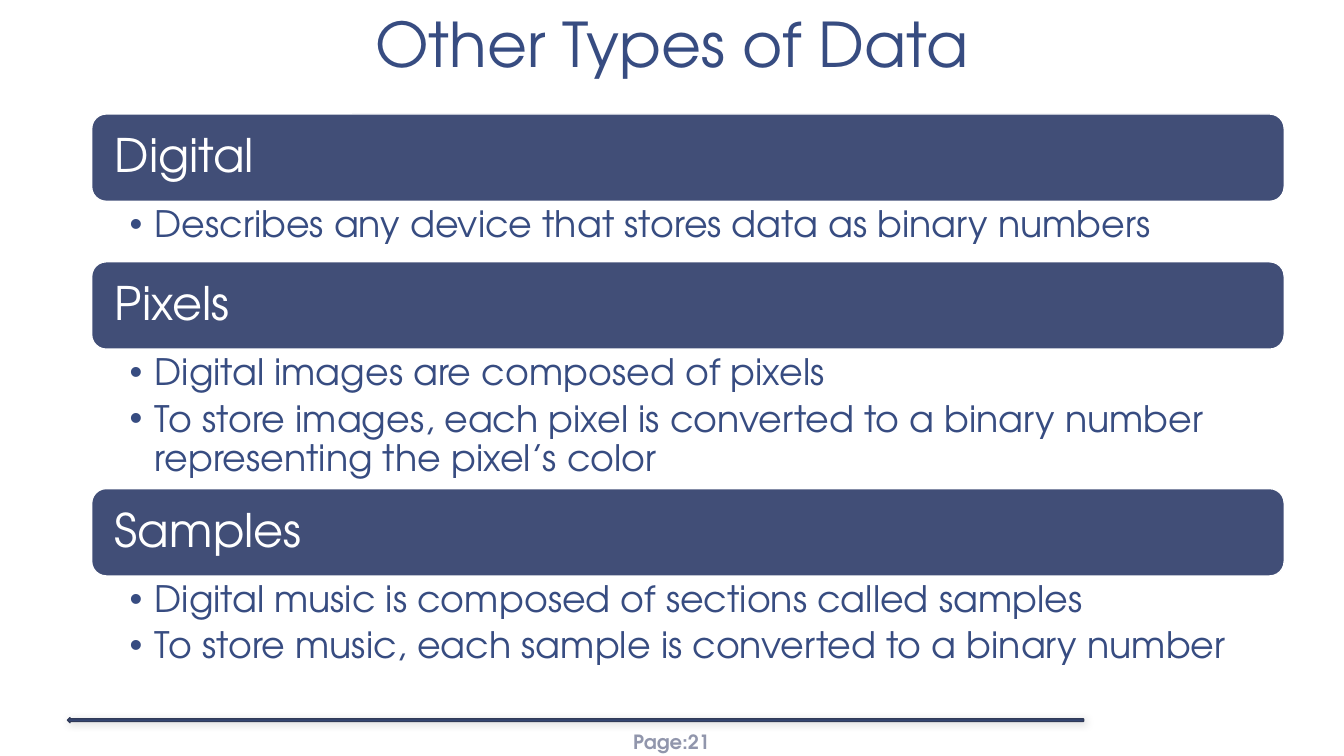
from dataclasses import dataclass

from lxml import etree
from pptx import Presentation
from pptx.dml.color import RGBColor as Rgb
from pptx.enum.shapes import MSO_SHAPE as Kind
from pptx.enum.text import MSO_ANCHOR as Anchor, MSO_AUTO_SIZE as Fit, PP_ALIGN as Align
from pptx.oxml import parse_xml
from pptx.oxml.ns import qn
from pptx.util import Pt

TITLE = "Other Types of Data"
PAGE = "Page:21"
# heading, height of its list in points, list items
TOPICS = [
    ("Digital", 43.2, ["Describes any device that stores data as binary numbers"]),
    ("Pixels", 99.6, [
        "Digital images are composed of pixels",
        "To store images, each pixel is converted to a binary number "
        "representing the pixel’s color",
    ]),
    ("Samples", 71.3, [
        "Digital music is composed of sections called samples",
        "To store music, each sample is converted to a binary number",
    ]),
]


@dataclass(frozen=True)
class Theme:
    face: str = "TeX Gyre Adventor"
    ink: str = "374C81"
    bar: str = "414E77"
    edge: str = "303A58"
    pale: str = "9196AC"
    white: str = "FFFFFF"
    title: int = 44
    head: int = 33
    item: int = 26
    page: int = 14


LOOK = Theme()
LEFT, TOP, WIDTH, BAR = 65.5, 81.4, 851.8, 62.4
SHADOW = (
    '<a:effectLst xmlns:a="http://schemas.openxmlformats.org/drawingml/2006/main">'
    '<a:outerShdw blurRad="76200" dist="12700" dir="2700000" rotWithShape="0">'
    '<a:srgbClr val="000000"><a:alpha val="20000"/></a:srgbClr>'
    '</a:outerShdw></a:effectLst>'
)


def place(shape, left, top, width, height):
    shape.left, shape.top = Pt(left), Pt(top)
    shape.width, shape.height = Pt(width), Pt(height)


def set_frame(shape, anchor, left, top, right, bottom):
    """Set anchor and insets, with wrapping on and no shrinking."""
    frame = shape.text_frame
    frame.word_wrap, frame.auto_size = True, Fit.NONE
    frame.vertical_anchor = anchor
    frame.margin_left, frame.margin_right = Pt(left), Pt(right)
    frame.margin_top, frame.margin_bottom = Pt(top), Pt(bottom)
    return frame


def style(para, size, color, align=Align.LEFT, line=1.0, after=0, bold=False):
    para.alignment, para.line_spacing = align, line
    para.space_before, para.space_after = Pt(0), Pt(after)
    for run in para.runs:
        font = run.font
        font.name, font.size, font.bold = LOOK.face, Pt(size), bold
        font.color.rgb = Rgb.from_string(color)


def paint(shape, fill, line):
    shape.shadow.inherit = False
    shape.fill.solid()
    shape.fill.fore_color.rgb = Rgb.from_string(fill)
    shape.line.color.rgb = Rgb.from_string(line)
    shape.line.width = Pt(1)


def add_bullet(para):
    props = para._p.get_or_add_pPr()
    props.set("marL", str(Pt(18)))
    props.set("indent", str(Pt(-18)))
    etree.SubElement(props, qn("a:buChar")).set("char", "•")


def add_head(slide, text, top):
    box = slide.shapes.add_shape(
        Kind.ROUNDED_RECTANGLE, Pt(LEFT), Pt(top), Pt(WIDTH), Pt(BAR))
    paint(box, LOOK.bar, LOOK.white)
    frame = set_frame(box, Anchor.MIDDLE, 13.4, 10, 13.4, 10)
    frame.text = text
    style(frame.paragraphs[0], LOOK.head, LOOK.white, line=0.9)


def fill_list(body, items, top, height):
    place(body, LEFT, top, WIDTH, height)
    frame = set_frame(body, Anchor.TOP, 27, 3.6, 18.7, 3.6)
    frame.text = "\n".join(items)
    for para in frame.paragraphs:
        add_bullet(para)
        style(para, LOOK.item, LOOK.ink, line=0.9, after=5.2)


def add_footer(slide):
    arrow = slide.shapes.add_shape(
        Kind.LEFT_ARROW, Pt(48.2), Pt(512.6), Pt(725.8), Pt(3.6))
    paint(arrow, LOOK.ink, LOOK.edge)
    props = arrow._element.spPr
    props.replace(props.find(qn("a:effectLst")), parse_xml(SHADOW))
    page = slide.shapes.add_textbox(Pt(416), Pt(520), Pt(127.4), Pt(20))
    frame = set_frame(page, Anchor.MIDDLE, 2.9, 1.4, 2.9, 1.4)
    frame.text = PAGE
    style(frame.paragraphs[0], LOOK.page, LOOK.pale, Align.CENTER, bold=True)


def main():
    deck = Presentation()
    deck.slide_width, deck.slide_height = Pt(960), Pt(540)
    slide = deck.slides.add_slide(deck.slide_layouts.get_by_name("Comparison"))
    title, *bodies = slide.placeholders
    add_footer(slide)

    place(title, 80, 0, 800, 62)
    frame = set_frame(title, Anchor.BOTTOM, 9.4, 5, 9.4, 5)
    frame.text = TITLE
    style(frame.paragraphs[0], LOOK.title, LOOK.ink, Align.CENTER, line=0.85)

    top = TOP
    for body, (head, height, items) in zip(bodies, TOPICS):
        add_head(slide, head, top)
        fill_list(body, items, top + BAR, height)
        top += BAR + height
    for spare in bodies[len(TOPICS):]:
        spare._element.getparent().remove(spare._element)

    deck.save("out.pptx")


if __name__ == "__main__":
    main()
